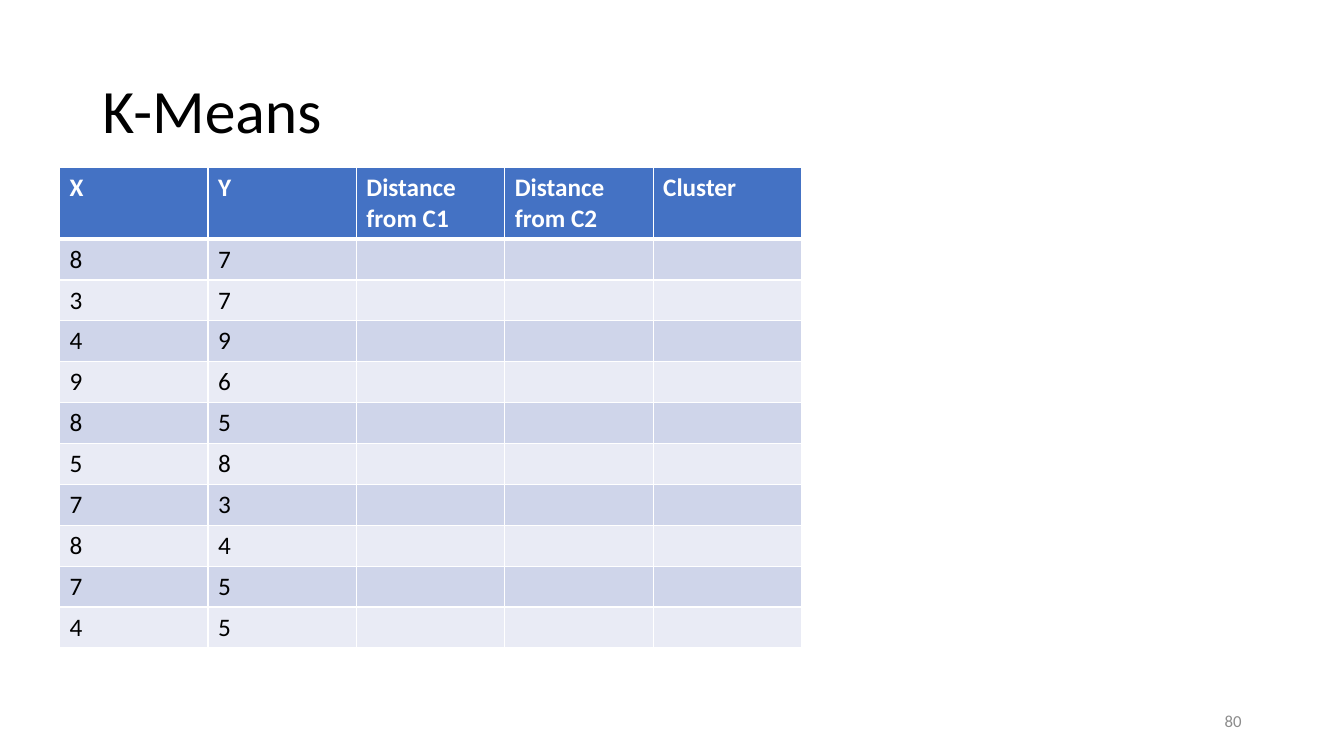
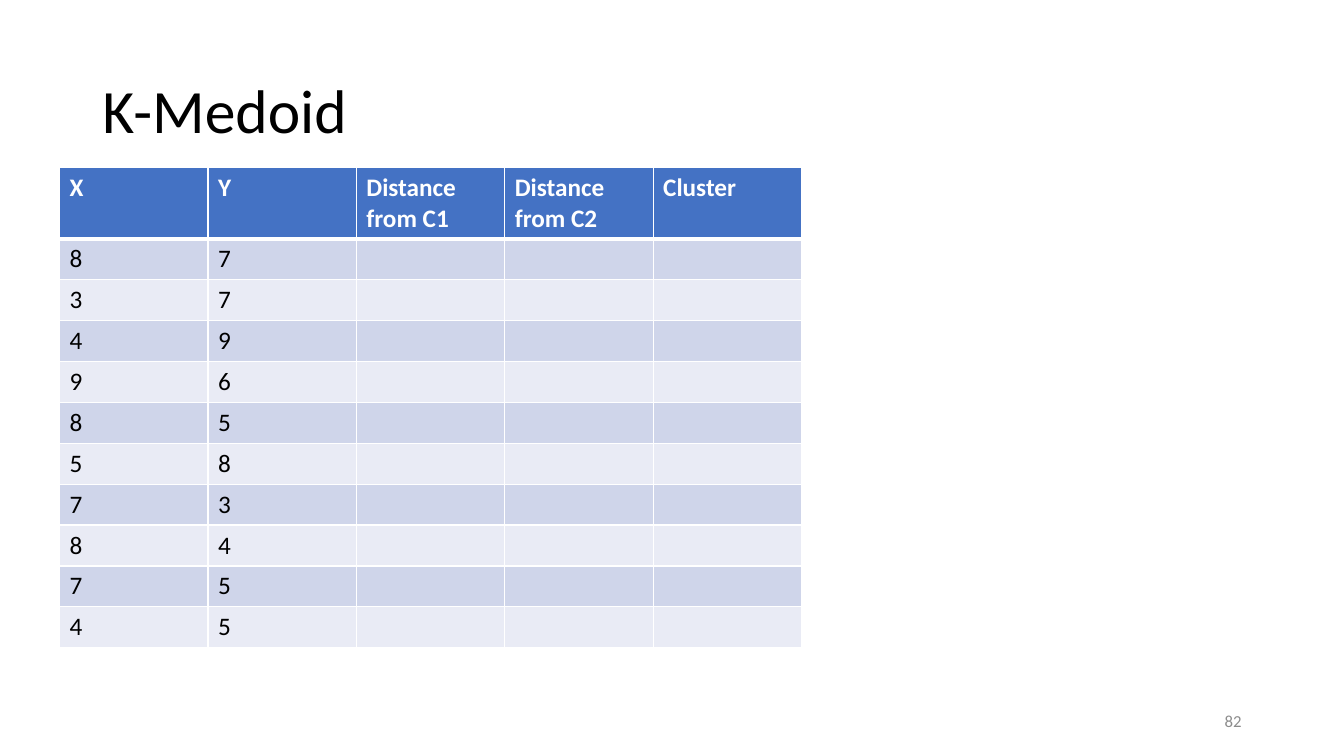
from lxml.etree import SubElement
from pptx import Presentation
from pptx.dml.color import RGBColor
from pptx.enum.text import MSO_ANCHOR as Anchor, PP_ALIGN as Align
from pptx.oxml.ns import qn
from pptx.util import Cm, Pt

WHITE = RGBColor(0xFF, 0xFF, 0xFF)
BLACK = RGBColor(0x00, 0x00, 0x00)
GREY = RGBColor(0x8C, 0x8C, 0x8C)
BLUE = RGBColor(0x44, 0x72, 0xC4)
BAND_DARK = RGBColor(0xCF, 0xD5, 0xEA)
BAND_LIGHT = RGBColor(0xE9, 0xEB, 0xF5)

HEADERS = ["X", "Y", "Distance from C1", "Distance from C2", "Cluster"]
POINTS = [(8, 7), (3, 7), (4, 9), (9, 6), (8, 5),
          (5, 8), (7, 3), (8, 4), (7, 5), (4, 5)]
SLIDES = [("K-Means", 80), ("K-Medoid", 82)]


class Deck:
    font = "Calibri"
    col_width, header_height, row_height = Cm(3.74), Cm(1.8), Cm(1.03)

    def __init__(self):
        self.prs = Presentation()
        self.prs.slide_width, self.prs.slide_height = Cm(33.87), Cm(19.05)
        self.s = None

    def new_slide(self):
        self.s = self.prs.slides.add_slide(self.prs.slide_layouts[6])

    def add_run(self, p, text, size, color, bold=False):
        r = p.add_run()
        r.text = text
        r.font.name, r.font.size, r.font.bold = self.font, Pt(size), bold
        r.font.color.rgb = color

    def text_box(self, left, top, width, height, text, size, color):
        """Add a vertically centred box and return its paragraph."""
        sp = self.s.shapes.add_textbox(Cm(left), Cm(top), Cm(width), Cm(height))
        tf = sp.text_frame
        tf.word_wrap = True
        tf.vertical_anchor = Anchor.MIDDLE
        p = tf.paragraphs[0]
        self.add_run(p, text, size, color)
        return p

    def title(self, text):
        p = self.text_box(2.33, 1.01, 29.21, 3.68, text, 44, BLACK)
        p.line_spacing = 0.9

    def page_number(self, number):
        p = self.text_box(23.92, 17.66, 7.62, 1.01, str(number), 12, GREY)
        p.alignment = Align.RIGHT

    def borders(self, cell, top=1, bottom=1):
        """Draw white cell edges, widths in points."""
        tc_pr = cell._tc.get_or_add_tcPr()
        for side, width in (("L", 1), ("R", 1), ("T", top), ("B", bottom)):
            ln = SubElement(tc_pr, qn(f"a:ln{side}"), w=str(Pt(width)))
            fill = SubElement(ln, qn("a:solidFill"))
            SubElement(fill, qn("a:srgbClr"), val=str(WHITE))

    def cell(self, cell, text, fill, color, bold=False, **edges):
        self.borders(cell, **edges)
        cell.fill.solid()
        cell.fill.fore_color.rgb = fill
        if text:
            self.add_run(cell.text_frame.paragraphs[0], text, 18, color, bold)

    def table(self, headers, rows):
        width = self.col_width * len(headers)
        height = self.header_height + self.row_height * len(rows)
        table = self.s.shapes.add_table(len(rows) + 1, len(headers), Cm(1.5),
                                        Cm(4.22), width, height).table
        for column in table.columns:
            column.width = self.col_width
        for i, row in enumerate(table.rows):
            row.height = self.row_height if i else self.header_height
        for j, header in enumerate(headers):
            self.cell(table.cell(0, j), header, BLUE, WHITE, bold=True, bottom=3)
        for i, values in enumerate(rows, 1):
            fill = BAND_DARK if i % 2 else BAND_LIGHT
            for j in range(len(headers)):
                text = str(values[j]) if j < len(values) else ""
                self.cell(table.cell(i, j), text, fill, BLACK,
                          top=3 if i == 1 else 1)


def main():
    deck = Deck()
    for title, number in SLIDES:
        deck.new_slide()
        deck.table(HEADERS, POINTS)
        deck.page_number(number)
        deck.title(title)
    deck.prs.save("out.pptx")


if __name__ == "__main__":
    main()
